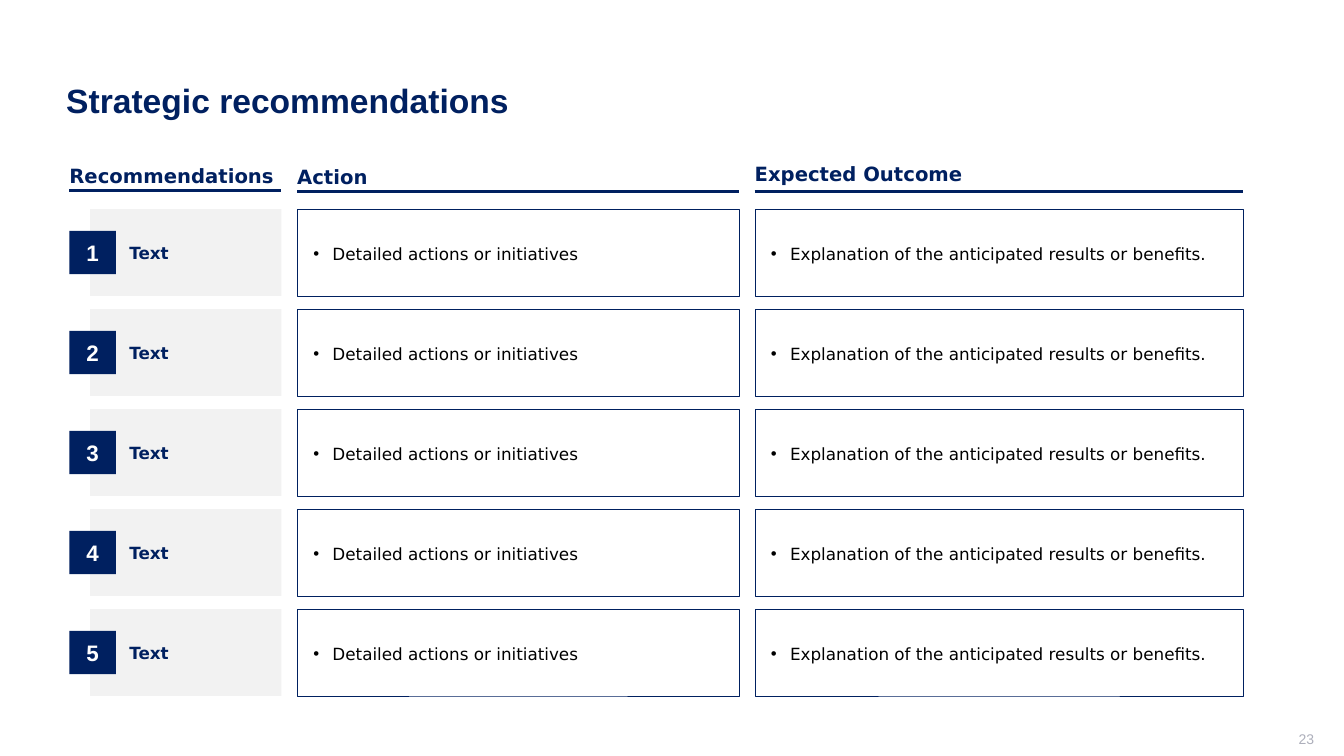
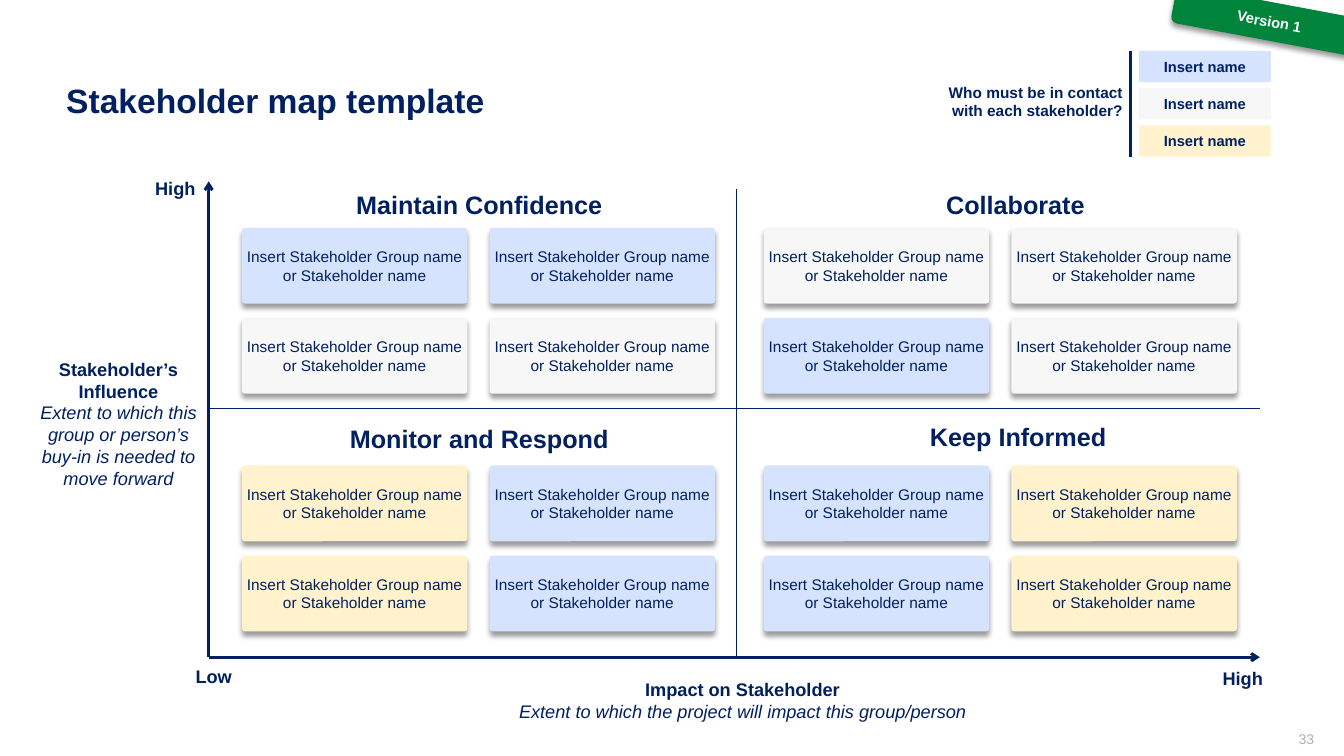
from lxml import etree
from pptx import Presentation
from pptx.dml.color import RGBColor
from pptx.enum.shapes import MSO_CONNECTOR, MSO_SHAPE
from pptx.enum.text import MSO_ANCHOR, PP_ALIGN
from pptx.oxml.ns import qn
from pptx.util import Cm, Pt

RECT, ROUNDED = MSO_SHAPE.RECTANGLE, MSO_SHAPE.ROUNDED_RECTANGLE
STRAIGHT = MSO_CONNECTOR.STRAIGHT
TOP, MIDDLE, BOTTOM = MSO_ANCHOR.TOP, MSO_ANCHOR.MIDDLE, MSO_ANCHOR.BOTTOM
LEFT, CENTER, RIGHT = PP_ALIGN.LEFT, PP_ALIGN.CENTER, PP_ALIGN.RIGHT

NAVY, BLACK, WHITE = "002060", "000000", "FFFFFF"
PANEL, PAGE_GREY, GREEN = "F2F2F2", "ADAFBB", "00843C"
BLUE, GREY, YELLOW = "D6E3FF", "F7F7F7", "FFF2CC"
ARIAL, DEJAVU = "Arial", "DejaVu Sans"

# Insets in cm: left, top, right, bottom
NO_INSETS = (0, 0, 0, 0)
DEFAULT_INSETS = (0.25, 0.13, 0.25, 0.13)
LABEL_INSETS = (0.18, 0.1, 0.18, 0.1)
CARD_INSETS = (0.05, 0.13, 0.05, 0.13)

# Recommendations: heading, left, width, bottom of heading, height of rule
HEADINGS = [
    ("Recommendations", 1.75, 5.34, 4.72, 4.8),
    ("Action", 7.49, 11.13, 4.75, 4.83),
    ("Expected Outcome", 19.02, 12.3, 4.67, 4.83),
]
RECOMMENDATIONS = [
    ("Text", "Detailed actions or initiatives",
     "Explanation of the anticipated results or benefits."),
] * 5
ROW_TOP, ROW_STEP, ROW_HEIGHT = 5.27, 2.52, 2.19
BADGE_WIDTH, BADGE_HEIGHT, PANEL_OFFSET = 1.17, 1.09, 0.52

# Stakeholder map: heading, its centre and top, left and top of cards, colours
QUADRANTS = [
    ("Maintain Confidence", 12.08, 4.67, 6.1, 5.74, [BLUE, BLUE, GREY, GREY]),
    ("Collaborate", 25.59, 4.67, 19.25, 5.74, [GREY, GREY, BLUE, GREY]),
    ("Monitor and Respond", 12.08, 10.57, 6.1, 11.73, [YELLOW, BLUE, YELLOW, BLUE]),
    ("Keep Informed", 25.66, 10.52, 19.25, 11.73, [BLUE, YELLOW, BLUE, YELLOW]),
]
STAKEHOLDER = "Insert Stakeholder Group name or Stakeholder name"
CARD_WIDTH, CARD_HEIGHT, CARD_STEP_X, CARD_STEP_Y = 5.68, 1.91, 6.24, 2.27
HEADING_WIDTH = 9

AXIS_LEFT, AXIS_RIGHT, AXIS_TOP, AXIS_BOTTOM = 5.26, 31.75, 4.57, 16.56
MIDDLE_X, MIDDLE_Y = 18.57, 10.3
# Start, end, line width, arrowhead
MAP_LINES = [
    ((AXIS_LEFT, MIDDLE_Y), (AXIS_RIGHT, MIDDLE_Y), 0.75, False),
    ((MIDDLE_X, AXIS_BOTTOM), (MIDDLE_X, 4.75), 0.75, False),
    ((AXIS_LEFT, AXIS_BOTTOM), (AXIS_LEFT, AXIS_TOP), 2, True),
    ((AXIS_LEFT, AXIS_BOTTOM), (AXIS_RIGHT, AXIS_BOTTOM), 2, True),
]
AXIS_ENDS = [("High", 3.73, 4.37), ("Low", 4.75, 16.66), ("High", 30.63, 16.71)]
# Name, explanation, box
AXIS_NAMES = [
    ("Stakeholder’s Influence",
     "Extent to which this group or person’s buy-in is needed to move forward",
     (0.56, 8.92, 4.85, 3.5)),
    ("Impact on Stakeholder",
     "Extent to which the project will impact this group/person",
     (11.79, 16.99, 13.84, 1.55)),
]
CONTACT_QUESTION = "Who must be in contact with each stakeholder?"
CONTACTS = [("Insert name", BLUE), ("Insert name", GREY), ("Insert name", YELLOW)]
CONTACT_LEFT, CONTACT_TOP, CONTACT_STEP, CONTACT_HEIGHT = 28.7, 1.28, 0.94, 0.79


def rgb(hex_color):
    return RGBColor.from_string(hex_color)


def write(shape, lines, size, color=NAVY, font=ARIAL, bold=False,
          align=LEFT, anchor=MIDDLE, insets=DEFAULT_INSETS):
    frame = shape.text_frame
    frame.word_wrap = True
    frame.vertical_anchor = anchor
    (frame.margin_left, frame.margin_top,
     frame.margin_right, frame.margin_bottom) = map(Cm, insets)
    frame.text = "\n".join(lines)
    for paragraph in frame.paragraphs:
        paragraph.alignment = align
        paragraph.font.name = font
        paragraph.font.size = Pt(size)
        paragraph.font.bold = bold
        paragraph.font.color.rgb = rgb(color)
    return frame


def add_label(slide, box, lines, size, **style):
    return write(slide.shapes.add_textbox(*map(Cm, box)), lines, size, **style)


def add_block(slide, kind, box, fill=None, line=None):
    block = slide.shapes.add_shape(kind, *map(Cm, box))
    block.shadow.inherit = False
    if fill:
        block.fill.solid()
        block.fill.fore_color.rgb = rgb(fill)
    else:
        block.fill.background()
    if line:
        block.line.color.rgb = rgb(line)
        block.line.width = Pt(0.25)
    else:
        block.line.fill.background()
    return block


def add_card(slide, box, fill):
    card = add_block(slide, ROUNDED, box, fill)
    card.adjustments[0] = 0.04
    return card


def add_line(slide, start, end, width, arrow=False):
    line = slide.shapes.add_connector(STRAIGHT, *map(Cm, start + end))
    line.line.color.rgb = rgb(NAVY)
    line.line.width = Pt(width)
    if arrow:
        etree.SubElement(line.line._get_or_add_ln(), qn("a:tailEnd"), type="arrow")
    etree.SubElement(line._element.spPr, qn("a:effectLst"))


def drop_shadow(shape):
    effects = shape._element.spPr.find(qn("a:effectLst"))
    shadow = etree.SubElement(effects, qn("a:outerShdw"), blurRad=str(Pt(4)),
                              dist=str(Pt(3)), dir="5400000",
                              algn="t", rotWithShape="0")
    color = etree.SubElement(shadow, qn("a:srgbClr"), val=BLACK)
    etree.SubElement(color, qn("a:alpha"), val="40000")


def add_bullet(paragraph):
    properties = paragraph._p.get_or_add_pPr()
    properties.set("marL", str(Cm(0.48)))
    properties.set("indent", str(-Cm(0.48)))
    etree.SubElement(properties, qn("a:buFont"), typeface=ARIAL)
    etree.SubElement(properties, qn("a:buChar"), char="•")


def add_slide(deck, title, title_width, number):
    """Add a blank slide with the shared title and page number."""
    slide = deck.slides.add_slide(deck.slide_layouts[6])
    add_label(slide, (1.42, 1.02, title_width, 3.02), [title], 24, bold=True)
    add_label(slide, (25.5, 18.42, 7.62, 0.53), [str(number)], 10,
              color=PAGE_GREY, align=RIGHT, insets=(0.25, 0, 0, 0.13))
    return slide


def build_recommendations(deck):
    slide = add_slide(deck, "Strategic recommendations", 30.76, 23)
    for heading, left, width, bottom, rule_y in HEADINGS:
        add_label(slide, (left, bottom - 0.86, width, 0.86), [heading], 14,
                  font=DEJAVU, bold=True, anchor=BOTTOM, insets=NO_INSETS)
        add_line(slide, (left, rule_y), (left + width, rule_y), 2.25)

    _, badge_left, name_width, *_ = HEADINGS[0]
    for row, (name, *details) in enumerate(RECOMMENDATIONS):
        top = ROW_TOP + row * ROW_STEP
        panel = add_block(slide, RECT, (badge_left + PANEL_OFFSET, top,
                                        name_width - PANEL_OFFSET, ROW_HEIGHT), PANEL)
        write(panel, [name], 12, font=DEJAVU, bold=True,
              insets=(0.99, 0.1, 0.25, 0.1))
        badge_top = top + (ROW_HEIGHT - BADGE_HEIGHT) / 2
        badge = add_block(slide, RECT,
                          (badge_left, badge_top, BADGE_WIDTH, BADGE_HEIGHT), NAVY)
        write(badge, [str(row + 1)], 16, color=WHITE, bold=True,
              align=CENTER, insets=NO_INSETS)
        for (_, left, width, *_), detail in zip(HEADINGS[1:], details):
            box = add_block(slide, RECT, (left, top, width, ROW_HEIGHT), line=NAVY)
            frame = write(box, [detail], 12, color=BLACK, font=DEJAVU,
                          insets=(0.41, 0.2, 0.51, 0.13))
            add_bullet(frame.paragraphs[0])


def add_quadrant(slide, heading, center, heading_top, left, top, fills):
    add_label(slide, (center - HEADING_WIDTH / 2, heading_top, HEADING_WIDTH, 0.94),
              [heading], 18, bold=True, align=CENTER, anchor=TOP, insets=LABEL_INSETS)
    for index, fill in enumerate(fills):
        row, column = divmod(index, 2)
        card = add_card(slide, (left + column * CARD_STEP_X, top + row * CARD_STEP_Y,
                                CARD_WIDTH, CARD_HEIGHT), fill)
        drop_shadow(card)
        write(card, [STAKEHOLDER], 11, align=CENTER, insets=CARD_INSETS)


def add_contact_key(slide):
    add_label(slide, (23.11, 1.96, 5.44, 1.24), [CONTACT_QUESTION], 11,
              bold=True, align=RIGHT, anchor=TOP)
    for index, (name, fill) in enumerate(CONTACTS):
        card = add_card(slide, (CONTACT_LEFT, CONTACT_TOP + index * CONTACT_STEP,
                                3.33, CONTACT_HEIGHT), fill)
        write(card, [name], 10.5, bold=True, align=CENTER, insets=CARD_INSETS)
    bottom = CONTACT_TOP + (len(CONTACTS) - 1) * CONTACT_STEP + CONTACT_HEIGHT
    add_line(slide, (28.5, CONTACT_TOP), (28.5, bottom), 2.25)


def build_stakeholder_map(deck):
    slide = add_slide(deck, "Stakeholder map template", 20.17, 33)
    for line in MAP_LINES:
        add_line(slide, *line)
    for quadrant in QUADRANTS:
        add_quadrant(slide, *quadrant)
    for text, left, top in AXIS_ENDS:
        add_label(slide, (left, top, 1.6, 0.74), [text], 13, bold=True,
                  anchor=TOP, insets=LABEL_INSETS)
    for name, explanation, box in AXIS_NAMES:
        frame = add_label(slide, box, [name, explanation], 13, bold=True,
                          align=CENTER, anchor=TOP, insets=LABEL_INSETS)
        note = frame.paragraphs[1].font
        note.bold, note.italic = False, True
    add_contact_key(slide)

    version = add_block(slide, ROUNDED, (29.54, 0.05, 4.9, 0.97), GREEN)
    version.rotation = 10.6
    drop_shadow(version)
    write(version, ["Version 1"], 10.5, color=WHITE, bold=True, align=CENTER)


def main():
    deck = Presentation()
    deck.slide_width, deck.slide_height = Cm(33.87), Cm(19.05)
    build_recommendations(deck)
    build_stakeholder_map(deck)
    deck.save("out.pptx")


if __name__ == "__main__":
    main()
